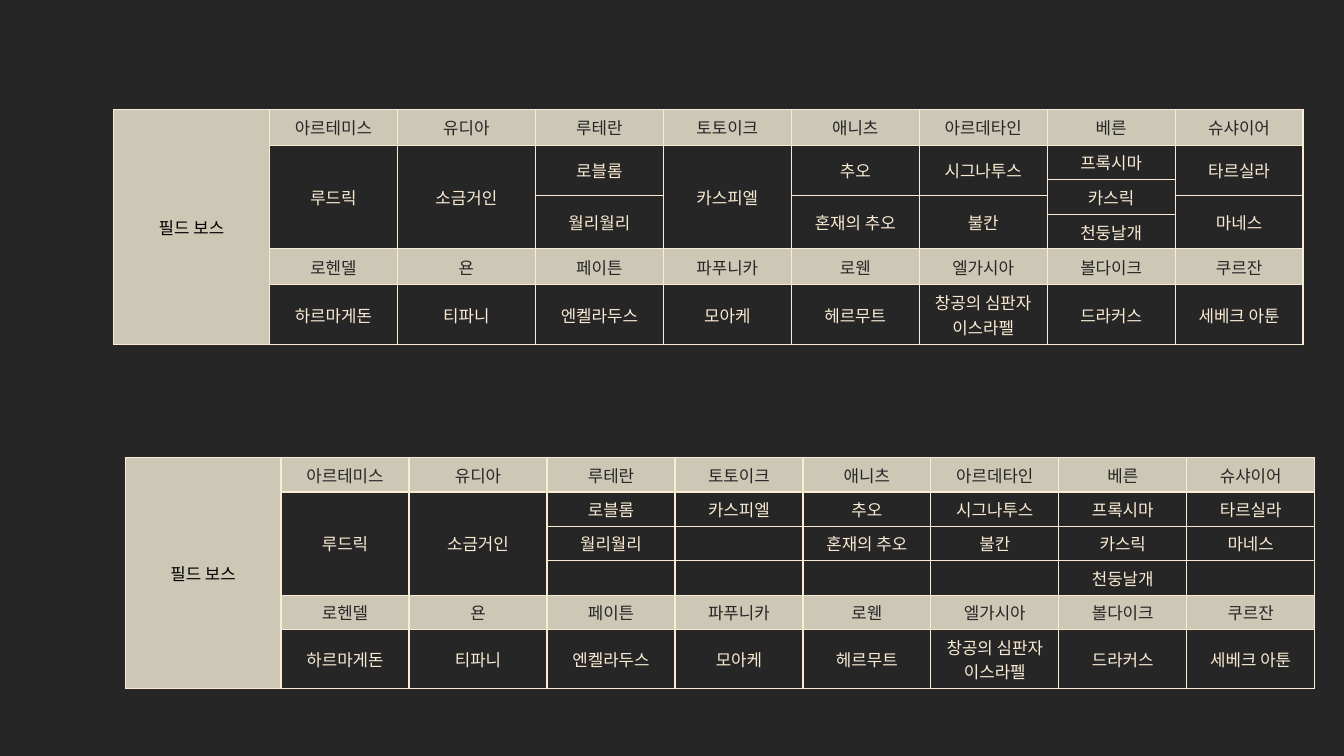
import pptx
import pptx.dml.color
import pptx.enum.text
import pptx.oxml.ns
import pptx.util
from lxml import etree

Pt = pptx.util.Pt

DARK = "262626"
CREAM = "FAEBD3"
STONE = "CDC7B6"
BLACK = "000000"
FONT = "Noto Sans CJK KR"

COLUMN_WIDTHS = [111.4, 91.4, 98.6] + [91.4] * 6

# None continues the cell above; "" is an empty cell.
REGIONS_WEST = ["필드 보스", "아르테미스", "유디아", "루테란", "토토이크",
                "애니츠", "아르데타인", "베른", "슈샤이어"]
REGIONS_EAST = [None, "로헨델", "욘", "페이튼", "파푸니카",
                "로웬", "엘가시아", "볼다이크", "쿠르잔"]
BOSSES_WEST = [None, "루드릭", "소금거인", "로블롬", "카스피엘",
               "추오", "시그나투스", "프록시마", "타르실라"]
BOSSES_EAST = [None, "하르마게돈", "티파니", "엔켈라두스", "모아케",
               "헤르무트", "창공의 심판자\n이스라펠", "드라커스", "세베크 아툰"]

MERGED_ROWS = [
    REGIONS_WEST,
    BOSSES_WEST,
    [None] * 7 + ["카스릭", None],
    [None, None, None, "월리월리", None, "혼재의 추오", "불칸", None, "마네스"],
    [None] * 7 + ["천둥날개", None],
    REGIONS_EAST,
    BOSSES_EAST,
]
EVEN_ROWS = [
    REGIONS_WEST,
    BOSSES_WEST,
    [None, None, None, "월리월리", "", "혼재의 추오", "불칸", "카스릭", "마네스"],
    [None, None, None, "", "", "", "", "천둥날개", ""],
    REGIONS_EAST,
    BOSSES_EAST,
]


def rgb(value):
    return pptx.dml.color.RGBColor.from_string(value)


def qn(tag):
    return pptx.oxml.ns.qn(tag)


def add_borders(cell, color, width):
    properties = cell._tc.get_or_add_tcPr()
    for side in ("a:lnL", "a:lnR", "a:lnT", "a:lnB"):
        line = etree.SubElement(properties, qn(side), w=str(Pt(width)))
        fill = etree.SubElement(line, qn("a:solidFill"))
        etree.SubElement(fill, qn("a:srgbClr"), val=color)


def style_cell(cell, fill, color):
    add_borders(cell, CREAM, 1)
    if fill:
        cell.fill.solid()
        cell.fill.fore_color.rgb = rgb(fill)
    else:
        cell.fill.background()
    cell.vertical_anchor = pptx.enum.text.MSO_ANCHOR.MIDDLE
    cell.margin_top = cell.margin_bottom = 0
    paragraph = cell.text_frame.paragraphs[0]
    paragraph.alignment = pptx.enum.text.PP_ALIGN.CENTER
    paragraph.font.size = Pt(12)
    paragraph.font.name = FONT
    paragraph.font.color.rgb = rgb(color)
    defaults = paragraph._p.pPr.find(qn("a:defRPr"))
    etree.SubElement(defaults, qn("a:ea"), typeface=FONT)


def cell_colors(row, column):
    """Return the fill and the text colour of a cell."""
    if column == 0:
        return STONE, BLACK
    if row in (REGIONS_WEST, REGIONS_EAST):
        return STONE, DARK
    return None, CREAM


def add_boss_table(slide, left, top, rows, heights):
    frame = slide.shapes.add_table(
        len(rows), len(COLUMN_WIDTHS), Pt(left), Pt(top),
        Pt(sum(COLUMN_WIDTHS)), Pt(sum(heights)))
    table = frame.table
    table.first_row = table.horz_banding = False
    for column, width in zip(table.columns, COLUMN_WIDTHS):
        column.width = Pt(width)
    for row, height in zip(table.rows, heights):
        row.height = Pt(height)

    for r, row in enumerate(rows):
        for c, name in enumerate(row):
            cell = table.cell(r, c)
            if name:
                cell.text_frame.paragraphs[0].text = name
            style_cell(cell, *cell_colors(row, c))

    for c in range(len(COLUMN_WIDTHS)):
        starts = [r for r, row in enumerate(rows) if row[c] is not None]
        for start, end in zip(starts, starts[1:] + [len(rows)]):
            if end - start > 1:
                table.cell(start, c).merge(table.cell(end - 1, c))


def main():
    deck = pptx.Presentation()
    deck.slide_width, deck.slide_height = Pt(960), Pt(540)
    slide = deck.slides.add_slide(deck.slide_layouts[6])
    slide.background.fill.solid()
    slide.background.fill.fore_color.rgb = rgb(DARK)
    add_boss_table(slide, 81.1, 78.3, MERGED_ROWS,
                   [25.7, 24.4, 11.2, 13.8, 24.4, 25.7, 42.8])
    add_boss_table(slide, 89.4, 326.8, EVEN_ROWS, [24.6] * 5 + [42])
    deck.save("out.pptx")


if __name__ == "__main__":
    main()
